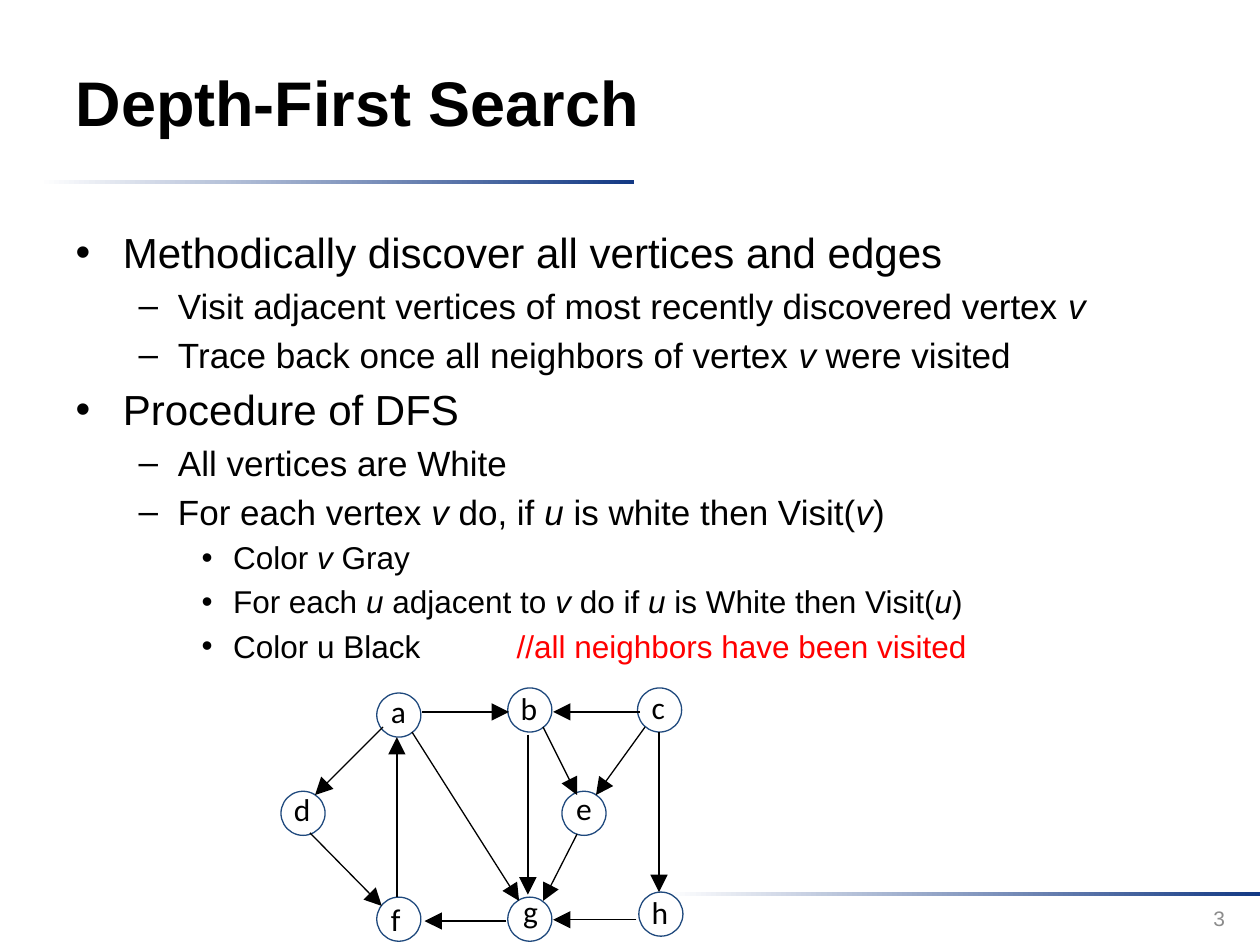
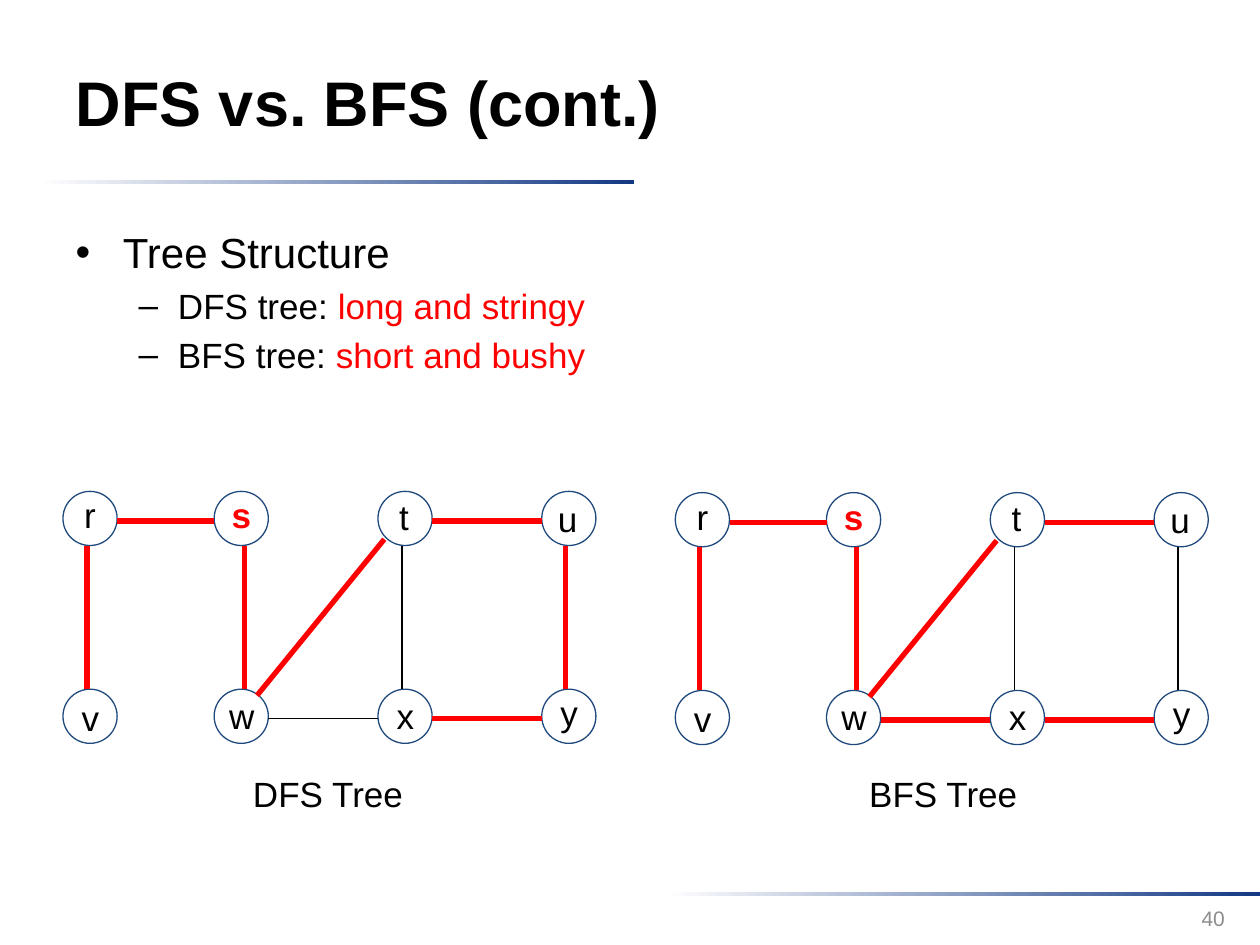
from dataclasses import dataclass

from lxml import etree
from pptx import Presentation
from pptx import util as u
from pptx.dml.color import RGBColor
from pptx.enum import shapes, text
from pptx.oxml.ns import qn

BLACK, WHITE, RED = "000000", "FFFFFF", "FF0000"
NAVY, OUTLINE, GRAY = "133984", "1F497D", "8C8C8C"
BODY_SIZES = (24, 20, 18)


@dataclass(frozen=True)
class Box:
    left: float
    top: float
    width: float
    height: float

    def lengths(self) -> tuple:
        return tuple(u.Inches(v) for v in (self.left, self.top, self.width, self.height))


@dataclass(frozen=True)
class Bullet:
    level: int
    text: str
    red: bool = False


@dataclass(frozen=True)
class Node:
    letter: str
    left: float
    top: float
    label_left: float
    label_top: float
    root: bool = False


@dataclass(frozen=True)
class NodeStyle:
    diameter: float
    label_width: float
    label_height: float
    font: str
    size: int


@dataclass(frozen=True)
class Edge:
    x1: float
    y1: float
    x2: float
    y2: float


@dataclass(frozen=True)
class Tree:
    caption: str
    caption_left: float
    dx: float
    dy: float
    thin_edges: tuple


BANDS = (Box(0.31, 1.43, 4.72, 0.03), Box(5.28, 7.08, 4.72, 0.03))
TITLE_BOX = Box(0.5, 0.18, 7.73, 1.25)
BODY_BOX = Box(0.5, 1.75, 9, 4.95)
NUMBER_BOX = Box(7.49, 7.09, 2.33, 0.4)

SEARCH_BULLETS = (
    Bullet(0, "Methodically discover all vertices and edges"),
    Bullet(1, "Visit adjacent vertices of most recently discovered vertex *v*"),
    Bullet(1, "Trace back once all neighbors of vertex *v* were visited"),
    Bullet(0, "Procedure of DFS"),
    Bullet(1, "All vertices are White"),
    Bullet(1, "For each vertex *v* do, if *u* is white then Visit(*v*)"),
    Bullet(2, "Color *v* Gray"),
    Bullet(2, "For each *u *adjacent to *v* do if *u *is White then Visit(*u*)"),
    Bullet(2, "Color u Black\t\t*//all neighbors have been visited*", red=True),
)
COMPARISON_BULLETS = (
    Bullet(0, "Tree Structure"),
    Bullet(1, "DFS tree: *long and stringy*", red=True),
    Bullet(1, "BFS tree: *short and bushy*", red=True),
)

SEARCH_STYLE = NodeStyle(0.35, 0.19, 0.4, "Calibri", 18)
SEARCH_NODES = (
    Node("a", 2.99, 5.5, 3.01, 5.44),
    Node("b", 4.03, 5.46, 4.04, 5.42),
    Node("c", 5.06, 5.46, 5.08, 5.41),
    Node("d", 2.23, 6.28, 2.24, 6.22),
    Node("e", 4.46, 6.28, 4.48, 6.21),
    Node("f", 2.99, 7.12, 3.01, 7.09),
    Node("g", 4.03, 7.12, 4.06, 7.03),
    Node("h", 5.07, 7.08, 5.08, 7.04),
)
SEARCH_EDGES = (
    Edge(3.15, 7.12, 3.15, 5.85),
    Edge(3.04, 5.77, 2.5, 6.31),
    Edge(2.46, 6.61, 3.03, 7.19),
    Edge(3.27, 5.81, 4.12, 7.15),
    Edge(4.02, 7.31, 3.37, 7.31),
    Edge(5.05, 7.3, 4.39, 7.3),
    Edge(3.35, 5.65, 4.04, 5.65),
    Edge(5.08, 5.65, 4.39, 5.65),
    Edge(5.23, 5.81, 5.23, 7.08),
    Edge(4.19, 5.83, 4.19, 7.1),
    Edge(4.31, 5.77, 4.58, 6.31),
    Edge(5.12, 5.77, 4.73, 6.31),
    Edge(4.58, 6.62, 4.31, 7.15),
)

TREE_STYLE = NodeStyle(0.43, 0.24, 0.29, "Arial", 20)
COLUMNS = (0.5, 1.7, 3.0, 4.3)
TOP_ROW, BOTTOM_ROW = 3.9, 5.47
TREE_NODES = (
    Node("r", COLUMNS[0], TOP_ROW, 0.57, 3.87),
    Node("s", COLUMNS[1], TOP_ROW, 1.74, 3.87, root=True),
    Node("t", COLUMNS[2], TOP_ROW, 3.07, 3.88),
    Node("u", COLUMNS[3], TOP_ROW, 4.33, 3.9),
    Node("v", COLUMNS[0], BOTTOM_ROW, 0.55, 5.48),
    Node("w", COLUMNS[1], BOTTOM_ROW, 1.72, 5.46),
    Node("x", COLUMNS[2], BOTTOM_ROW, 3.05, 5.46),
    Node("y", COLUMNS[3], BOTTOM_ROW, 4.35, 5.44),
)
TREES = (
    Tree("DFS Tree", 1.91, 0, 0, ("wx", "tx")),
    Tree("BFS Tree", 6.8, 4.86, 0.01, ("tx", "uy")),
)


def across(column: int, row: float) -> Edge:
    y = row + 0.235
    return Edge(COLUMNS[column] + TREE_STYLE.diameter, y, COLUMNS[column + 1], y)


def down(column: int, offset: float = 0.19) -> Edge:
    x = COLUMNS[column] + offset
    return Edge(x, TOP_ROW + TREE_STYLE.diameter, x, BOTTOM_ROW)


TREE_EDGES = {
    "rv": down(0),
    "rs": across(0, TOP_ROW),
    "sw": down(1, 0.24),
    "wt": Edge(2.04, 5.52, 3.05, 4.28),
    "wx": across(1, BOTTOM_ROW),
    "tx": down(2),
    "tu": across(2, TOP_ROW),
    "xy": across(2, BOTTOM_ROW),
    "uy": down(3),
}


def colour(value: str) -> RGBColor:
    return RGBColor.from_string(value)


def format_run(run, size: int, value: str = BLACK, font: str = "Arial", bold: bool = False) -> None:
    run.font.name, run.font.size, run.font.bold = font, u.Pt(size), bold
    run.font.color.rgb = colour(value)


def place(shape, box: Box) -> None:
    shape.left, shape.top, shape.width, shape.height = box.lengths()


def add_label(slide, box: Box, content: str, size: int, value: str = BLACK,
              font: str = "Arial", bold: bool = False, wrap: bool = True):
    shape = slide.shapes.add_textbox(*box.lengths())
    shape.text_frame.text = content
    shape.text_frame.word_wrap = wrap
    format_run(shape.text_frame.paragraphs[0].runs[0], size, value, font, bold)
    return shape


def add_edge(slide, edge: Edge, value: str = BLACK, width: float = 0.75, arrow: bool = False) -> None:
    ends = [u.Inches(v) for v in (edge.x1, edge.y1, edge.x2, edge.y2)]
    connector = slide.shapes.add_connector(shapes.MSO_CONNECTOR.STRAIGHT, *ends)
    connector.line.color.rgb = colour(value)
    connector.line.width = u.Pt(width)
    properties = connector.element.spPr
    if arrow:
        etree.SubElement(properties.find(qn("a:ln")), qn("a:tailEnd"), type="triangle", w="lg", len="lg")
    etree.SubElement(properties, qn("a:effectLst"))


def add_node(slide, node: Node, style: NodeStyle, dx: float = 0, dy: float = 0) -> None:
    circle_box = Box(node.left + dx, node.top + dy, style.diameter, style.diameter)
    circle = slide.shapes.add_shape(shapes.MSO_SHAPE.OVAL, *circle_box.lengths())
    circle.shadow.inherit = False
    circle.fill.solid()
    circle.fill.fore_color.rgb = colour(WHITE)
    circle.line.color.rgb = colour(OUTLINE)
    circle.line.width = u.Pt(0.75)
    label_box = Box(node.label_left + dx, node.label_top + dy, style.label_width, style.label_height)
    add_label(slide, label_box, node.letter, style.size, RED if node.root else BLACK, style.font, node.root)


def add_bands(layout, slide) -> None:
    for box in BANDS:
        band = slide.shapes.add_shape(shapes.MSO_SHAPE.RECTANGLE, *box.lengths())
        band.shadow.inherit = False
        band.line.fill.background()
        band.fill.gradient()
        band.fill.gradient_angle = 0
        for stop, value in zip(band.fill.gradient_stops, (WHITE, NAVY)):
            stop.color.rgb = colour(value)
        layout.shapes.element.append(band.element)


def fill_body(body, bullets: tuple) -> None:
    frame = body.text_frame
    frame.auto_size = text.MSO_AUTO_SIZE.NONE
    for index, bullet in enumerate(bullets):
        paragraph = frame.add_paragraph() if index else frame.paragraphs[0]
        paragraph.level = bullet.level
        for part, content in enumerate(bullet.text.split("*")):
            if not content:
                continue
            accented = part % 2 == 1
            run = paragraph.add_run()
            run.text = content
            format_run(run, BODY_SIZES[bullet.level], RED if accented and bullet.red else BLACK)
            run.font.italic = accented and not bullet.red


def add_slide(presentation, layout, title: str, bullets: tuple, number: str):
    slide = presentation.slides.add_slide(layout)
    frame = slide.shapes.title.text_frame
    frame.text = title
    frame.auto_size = text.MSO_AUTO_SIZE.NONE
    frame.vertical_anchor = text.MSO_ANCHOR.MIDDLE
    frame.paragraphs[0].alignment = text.PP_ALIGN.LEFT
    format_run(frame.paragraphs[0].runs[0], 36, bold=True)
    fill_body(slide.placeholders[1], bullets)
    place(slide.shapes.title, TITLE_BOX)
    place(slide.placeholders[1], BODY_BOX)
    footer = add_label(slide, NUMBER_BOX, number, 12, GRAY)
    footer.text_frame.vertical_anchor = text.MSO_ANCHOR.MIDDLE
    footer.text_frame.paragraphs[0].alignment = text.PP_ALIGN.RIGHT
    return slide


def add_tree(slide, tree: Tree) -> None:
    for node in TREE_NODES:
        add_node(slide, node, TREE_STYLE, tree.dx, tree.dy)
    for name, edge in TREE_EDGES.items():
        moved = Edge(edge.x1 + tree.dx, edge.y1 + tree.dy, edge.x2 + tree.dx, edge.y2 + tree.dy)
        if name in tree.thin_edges:
            add_edge(slide, moved)
        else:
            add_edge(slide, moved, RED, 3)
    add_label(slide, Box(tree.caption_left, 6.08, 1.4, 0.44), tree.caption, 20, wrap=False)


def main() -> None:
    presentation = Presentation()
    presentation.slide_width, presentation.slide_height = u.Inches(10), u.Inches(7.5)
    layout = presentation.slide_layouts[1]

    search = add_slide(presentation, layout, "Depth-First Search", SEARCH_BULLETS, "3")
    add_bands(layout, search)
    for node in SEARCH_NODES:
        add_node(search, node, SEARCH_STYLE)
    for edge in SEARCH_EDGES:
        add_edge(search, edge, arrow=True)

    comparison = add_slide(presentation, layout, "DFS vs. BFS (cont.)", COMPARISON_BULLETS, "40")
    for tree in TREES:
        add_tree(comparison, tree)

    presentation.save("out.pptx")


if __name__ == "__main__":
    main()
